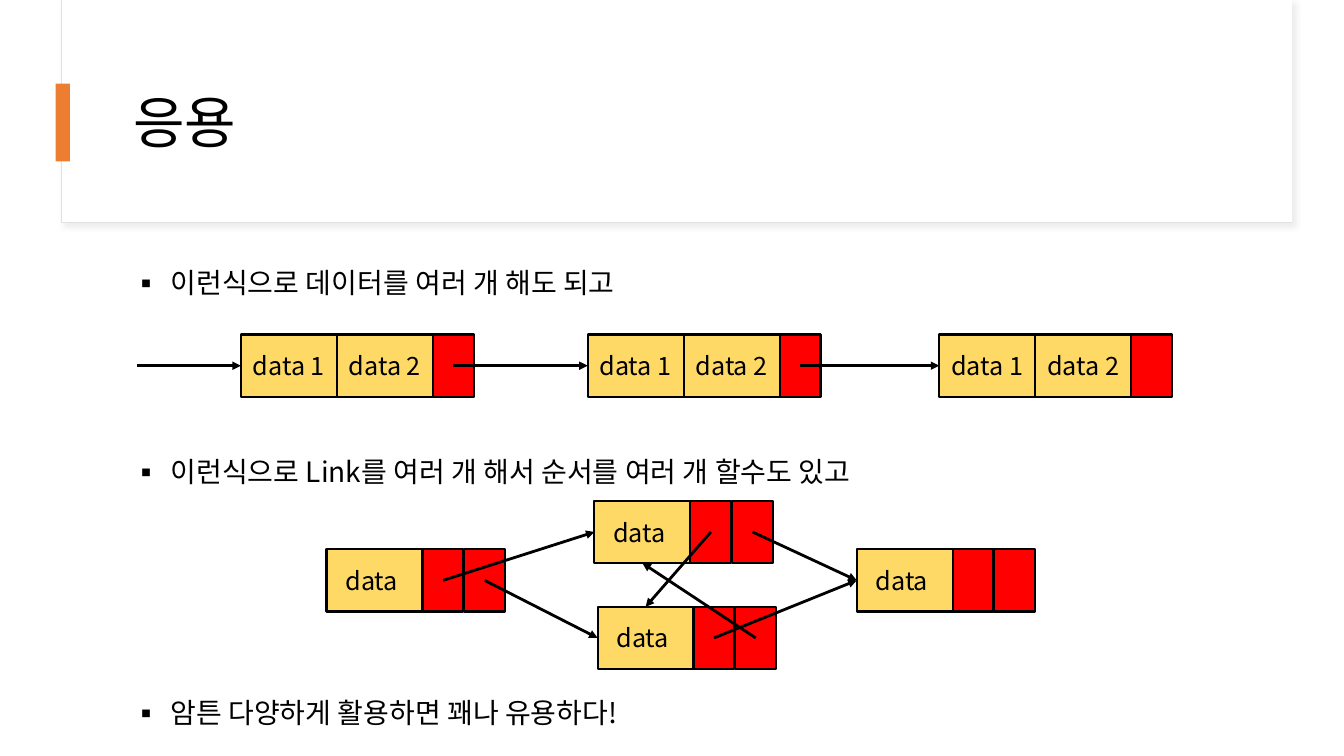
from collections import namedtuple

from lxml.etree import SubElement
from pptx import Presentation
from pptx.dml.color import RGBColor
from pptx.enum.shapes import MSO_CONNECTOR, MSO_SHAPE
from pptx.enum.text import MSO_ANCHOR, MSO_AUTO_SIZE, PP_ALIGN
from pptx.oxml.ns import qn
from pptx.util import Cm, Pt

COLORS = {"paper": "FFFFFF", "edge": "E1E1E1", "shade": "D9D9D9", "accent": "ED7D31",
          "data": "FFD966", "link": "FF0000", "ink": "000000"}
FONT = "Noto Sans CJK KR"
CELL_HEIGHT, DATA_WIDTH, LINK_WIDTH, LINK_PITCH = 1.57, 2.42, 1.03, 1.05

Node = namedtuple("Node", "entry top bottom links")


def color(name):
    """Return the named colour."""
    return RGBColor.from_string(COLORS[name])


def write(frame, text, size=18, align=PP_ALIGN.LEFT, anchor=MSO_ANCHOR.TOP, spacing=1.0):
    """Put one formatted paragraph into a text frame and return it."""
    frame.vertical_anchor = anchor
    paragraph = frame.paragraphs[0]
    paragraph.alignment = align
    paragraph.line_spacing = spacing
    run = paragraph.add_run()
    run.text = text
    run.font.size = Pt(size)
    run.font.color.rgb = color("ink")
    run.font.name = FONT
    SubElement(run.font._element, qn("a:ea"), typeface=FONT)
    return paragraph


def add_box(slide, left, top, width, height, fill, line=None, weight=1.5):
    """Add a filled rectangle, outlined if a line colour is given."""
    box = slide.shapes.add_shape(MSO_SHAPE.RECTANGLE, Cm(left), Cm(top), Cm(width), Cm(height))
    box.shadow.inherit = False
    box.fill.solid()
    box.fill.fore_color.rgb = color(fill)
    if line:
        box.line.color.rgb = color(line)
        box.line.width = Pt(weight)
    else:
        box.line.fill.background()
    return box


def add_header(slide, text):
    """Add the shadowed header panel, the title and the accent bar."""
    panel = add_box(slide, 1.55, 0, 31.01, 5.61, "paper", "edge", 0.75)
    effects = panel._element.spPr.find(qn("a:effectLst"))
    shadow = SubElement(effects, qn("a:outerShdw"), blurRad=str(Pt(4)), dist=str(Pt(3)),
                        dir=str(45 * 60000), algn="tl", rotWithShape="0")
    shade = SubElement(shadow, qn("a:srgbClr"), val=COLORS["shade"])
    SubElement(shade, qn("a:alpha"), val="50000")
    add_box(slide, 1.57, 0, 30.99, 5.59, "paper")

    title = slide.shapes.title
    title.left, title.top, title.width, title.height = Cm(3.1), Cm(1.52), Cm(28.24), Cm(3.28)
    write(title.text_frame, text, size=40, anchor=MSO_ANCHOR.MIDDLE, spacing=0.9)
    slide.shapes._spTree.append(title._element)
    add_box(slide, 1.4, 2.11, 0.36, 1.96, "accent")


def add_bullet(slide, text, top, width):
    """Add a one-line bulleted statement."""
    box = slide.shapes.add_textbox(Cm(3.1), Cm(top), Cm(width), Cm(1.37))
    box.text_frame.word_wrap = False
    box.text_frame.auto_size = MSO_AUTO_SIZE.SHAPE_TO_FIT_TEXT
    properties = write(box.text_frame, text, size=20, spacing=1.5)._p.get_or_add_pPr()
    properties.set("marL", str(Cm(0.95)))
    properties.set("indent", str(-Cm(0.95)))
    SubElement(properties, qn("a:buFont"), typeface=FONT)
    SubElement(properties, qn("a:buChar"), char="▪")


def add_node(slide, left, top, labels, link_count):
    """Add a list node and return the points where arrows meet it."""
    for index, label in enumerate(labels):
        cell = add_box(slide, left + index * DATA_WIDTH, top, DATA_WIDTH, CELL_HEIGHT, "data", "ink")
        write(cell.text_frame, label, align=PP_ALIGN.CENTER, anchor=MSO_ANCHOR.MIDDLE)
    links_left = left + len(labels) * DATA_WIDTH
    middle = top + CELL_HEIGHT / 2
    links = []
    for index in range(link_count):
        link_left = links_left + index * LINK_PITCH
        add_box(slide, link_left, top, LINK_WIDTH, CELL_HEIGHT, "link", "ink")
        links.append((link_left + LINK_WIDTH / 2, middle))
    center = left + DATA_WIDTH / 2
    return Node((left, middle), (center, top), (center, top + CELL_HEIGHT), links)


def add_arrow(slide, start, end):
    """Add a straight arrow between two points."""
    arrow = slide.shapes.add_connector(MSO_CONNECTOR.STRAIGHT, *map(Cm, start + end))
    arrow.line.color.rgb = color("ink")
    arrow.line.width = Pt(2)
    SubElement(arrow.line._get_or_add_ln(), qn("a:tailEnd"), type="triangle")
    SubElement(arrow._element.spPr, qn("a:effectLst"))


def add_chain(slide):
    """Add the single chain of nodes that hold two data fields."""
    nodes = [add_node(slide, left, 8.43, ["data 1 ", "data 2"], 1) for left in (6.07, 14.81, 23.67)]
    starts = [(3.45, nodes[0].entry[1])] + [node.links[0] for node in nodes]
    for start, node in zip(starts, nodes):
        add_arrow(slide, start, node.entry)


def add_network(slide):
    """Add the network of nodes that hold two links."""
    corners = [(8.23, 13.84), (14.98, 12.62), (15.06, 15.29), (21.59, 13.84)]
    first, upper, lower, last = [add_node(slide, left, top, ["data "], 2) for left, top in corners]
    for start, end in [
        (first.links[1], lower.entry),
        (first.links[0], upper.entry),
        (lower.links[1], upper.bottom),
        (upper.links[1], last.entry),
        (upper.links[0], lower.top),
        (lower.links[0], last.entry),
    ]:
        add_arrow(slide, start, end)


def main():
    """Build and save the slide."""
    deck = Presentation()
    deck.slide_width, deck.slide_height = Cm(33.87), Cm(19.05)
    slide = deck.slides.add_slide(deck.slide_layouts[5])
    add_header(slide, "응용")
    add_bullet(slide, "이런식으로 데이터를 여러 개 해도 되고", 6.15, 14.12)
    add_chain(slide)
    add_bullet(slide, "이런식으로 Link를 여러 개 해서 순서를 여러 개 할수도 있고", 10.9, 20.68)
    add_network(slide)
    add_bullet(slide, "암튼 다양하게 활용하면 꽤나 유용하다!", 16.97, 14.07)
    deck.save("out.pptx")


main()
